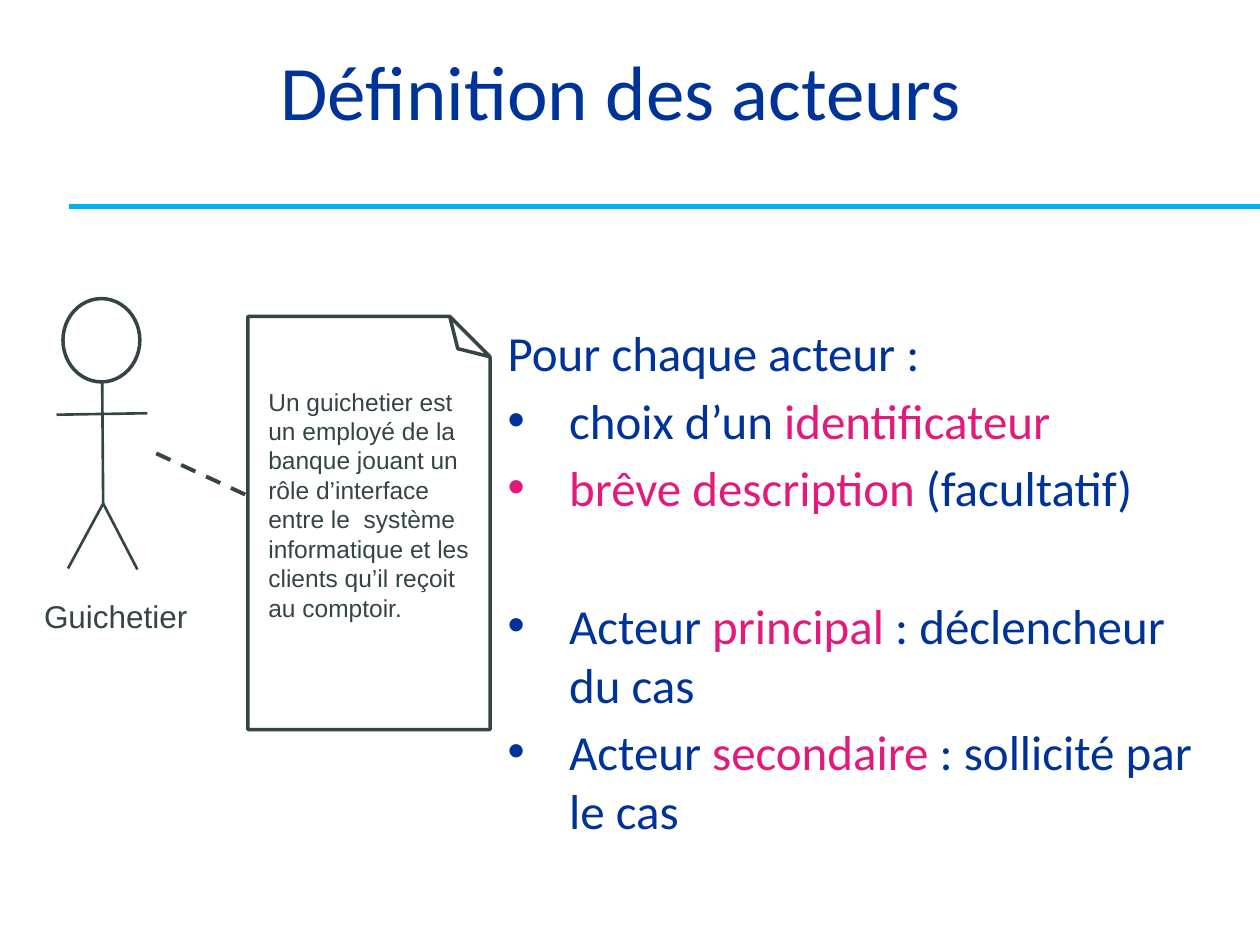
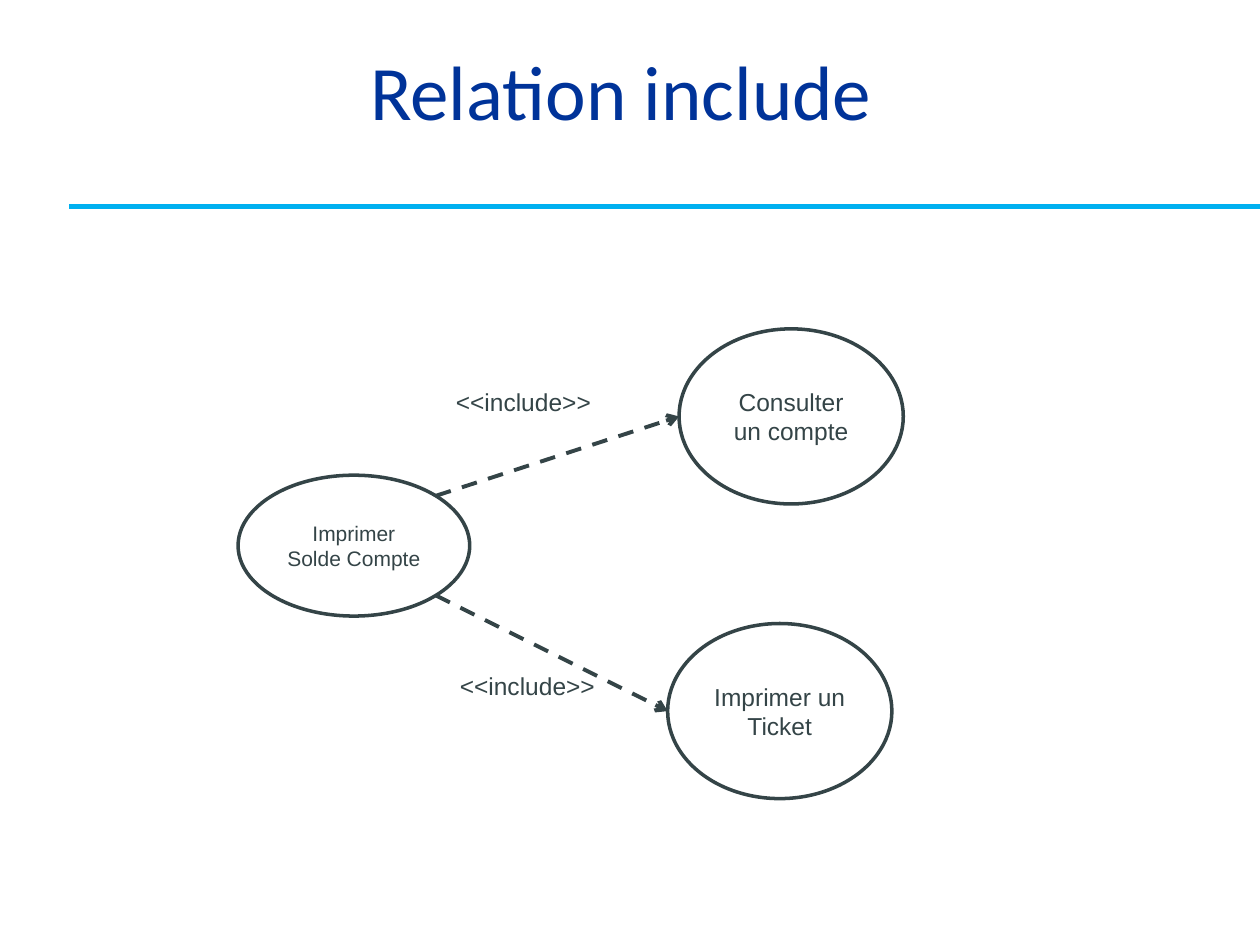
from dataclasses import dataclass
from math import sqrt

import pptx
import pptx.dml.color
import pptx.enum.dml
import pptx.enum.shapes
import pptx.enum.text
import pptx.oxml
import pptx.oxml.ns
import pptx.util

Cm = pptx.util.Cm
Pt = pptx.util.Pt
Color = pptx.dml.color.RGBColor
qn = pptx.oxml.ns.qn
ShapeKind = pptx.enum.shapes.MSO_SHAPE
Align = pptx.enum.text.PP_ALIGN
Anchor = pptx.enum.text.MSO_ANCHOR


# Theme: colours, fonts, type sizes and line widths
@dataclass(frozen=True)
class Theme:
    navy: Color = Color.from_string("003399")
    pink: Color = Color.from_string("E31A79")
    slate: Color = Color.from_string("344447")
    sky: Color = Color.from_string("00B0F0")
    text_font: str = "Calibri"
    diagram_font: str = "Arial"
    title_size: float = 44
    body_size: float = 28
    actor_size: float = 18
    diagram_size: float = 14
    small_size: float = 12
    rule_width: float = 2.75
    dash_width: float = 2.25
    outline_width: float = 2
    limb_width: float = 1.5


THEME = Theme()


# Lengths in centimetres
@dataclass(frozen=True)
class Area:
    left: float
    top: float
    width: float
    height: float

    def lengths(self) -> tuple:
        return Cm(self.left), Cm(self.top), Cm(self.width), Cm(self.height)

    def left_middle(self) -> tuple[float, float]:
        return self.left, self.top + self.height / 2

    def right_diagonal(self, side: int) -> tuple[float, float]:
        """Point of the inscribed ellipse at 45 degrees, above (-1) or below (1)."""
        return (self.left + self.width / 2 * (1 + 1 / sqrt(2)),
                self.top + self.height / 2 * (1 + side / sqrt(2)))


@dataclass(frozen=True)
class Segment:
    start: tuple[float, float]
    end: tuple[float, float]
    width: float
    color: Color = THEME.slate
    dashed: bool = False
    arrow: bool = False


@dataclass(frozen=True)
class Label:
    text: str
    area: Area
    size: float = THEME.diagram_size
    align: Align = Align.LEFT


@dataclass(frozen=True)
class Item:
    spans: tuple[tuple[str, Color], ...]
    space_before: float = 5
    bullet: bool = True


TITLE_AREA = Area(1.09, 0.74, 22.86, 3.18)
HEADER_RULE = Segment((1.4, 4.17), (25.4, 4.17), THEME.rule_width, THEME.sky)

# Actor definition slide
BODY_AREA = Area(9.98, 4.45, 14.91, 13.08)
BODY_TOP_INSET = 2.05
BULLET_INDENT = 1.24
ACTOR_ITEMS = (
    Item((("Pour chaque acteur :", THEME.navy),), space_before=0, bullet=False),
    Item((("choix d’un ", THEME.navy), ("identificateur", THEME.pink))),
    Item((("brêve description ", THEME.pink), ("(facultatif)", THEME.navy))),
    Item((("Acteur ", THEME.navy), ("principal", THEME.pink),
          (" : déclencheur du cas", THEME.navy)), space_before=45),
    Item((("Acteur ", THEME.navy), ("secondaire", THEME.pink),
          (" : sollicité par le cas", THEME.navy))),
)
HEAD_AREA = Area(1.27, 6.02, 1.55, 1.68)
HIPS = (2.08, 10.15)
LIMBS = (
    Segment((2.06, 7.7), HIPS, THEME.limb_width),
    Segment((1.14, 8.36), (2.97, 8.33), THEME.limb_width),
    Segment(HIPS, (1.37, 11.46), THEME.limb_width),
    Segment(HIPS, (2.77, 11.48), THEME.limb_width),
)
NOTE_AREA = Area(5, 6.38, 4.88, 8.33)
NOTE_LINK = Segment((3.15, 9.14), (5.03, 10.01), THEME.dash_width, dashed=True)
ACTOR_LABELS = (
    Label("Guichetier", Area(0, 11.91, 4.67, 1.02), THEME.actor_size, Align.CENTER),
    Label("Un guichetier est un employé de la banque jouant un rôle d’interface "
          "entre le  système informatique et les clients qu’il reçoit au comptoir.",
          Area(5.16, 7.67, 4.57, 5.05)),
)

# Include relation slide
BASE_CASE = Label("Imprimer Solde Compte", Area(4.8, 9.58, 4.67, 2.84),
                  THEME.small_size, Align.CENTER)
UPPER_CASE = Label("Consulter un compte", Area(13.69, 6.63, 4.52, 3.53),
                   align=Align.CENTER)
LOWER_CASE = Label("Imprimer un Ticket", Area(13.46, 12.57, 4.52, 3.53),
                   align=Align.CENTER)
INCLUDE_LABELS = (
    Label("<<include>>", Area(8.94, 7.67, 5.05, 0.86)),
    Label("<<include>>", Area(9.02, 13.41, 5.05, 0.86)),
)


def place(shape, area: Area) -> None:
    shape.left, shape.top, shape.width, shape.height = area.lengths()


def style_font(font, name: str, size: float, color: Color | None = None) -> None:
    font.name = name
    font.size = Pt(size)
    if color is not None:
        font.color.rgb = color


def write_label(box, label: Label) -> None:
    box.text_frame.word_wrap = True
    para = box.text_frame.paragraphs[0]
    para.text = label.text
    para.alignment = label.align
    style_font(para.font, THEME.diagram_font, label.size, THEME.slate)


def add_label(page, label: Label) -> None:
    write_label(page.shapes.add_textbox(*label.area.lengths()), label)


def add_outline(shapes, kind: ShapeKind, area: Area):
    shape = shapes.add_shape(kind, *area.lengths())
    shape.shadow.inherit = False
    shape.fill.background()
    shape.line.color.rgb = THEME.slate
    shape.line.width = Pt(THEME.outline_width)
    return shape


def add_segment(shapes, segment: Segment) -> None:
    connector = shapes.add_connector(
        pptx.enum.shapes.MSO_CONNECTOR.STRAIGHT,
        *(Cm(value) for value in segment.start + segment.end))
    connector.line.color.rgb = segment.color
    connector.line.width = Pt(segment.width)
    if segment.dashed:
        connector.line.dash_style = pptx.enum.dml.MSO_LINE.DASH
    properties = connector.element.spPr
    if segment.arrow:
        tail = pptx.oxml.parse_xml(
            f'<a:tailEnd {pptx.oxml.ns.nsdecls("a")} type="arrow"/>')
        properties.find(qn("a:ln")).append(tail)
    properties.append(
        pptx.oxml.parse_xml(f'<a:effectLst {pptx.oxml.ns.nsdecls("a")}/>'))


def add_page(deck, layout_name: str, title: str):
    """Slide with the shared title and header rule."""
    page = deck.slides.add_slide(deck.slide_layouts.get_by_name(layout_name))
    box = page.shapes.title
    place(box, TITLE_AREA)
    frame = box.text_frame
    frame.auto_size = pptx.enum.text.MSO_AUTO_SIZE.NONE
    frame.vertical_anchor = Anchor.MIDDLE
    para = frame.paragraphs[0]
    para.text = title
    para.alignment = Align.CENTER
    para.line_spacing = Pt(23)
    style_font(para.font, THEME.text_font, THEME.title_size, THEME.navy)
    add_segment(page.shapes, HEADER_RULE)
    return page


def write_item(para, item: Item) -> None:
    para.space_before = Pt(item.space_before)
    style_font(para.font, THEME.text_font, THEME.body_size)
    indent = Cm(BULLET_INDENT) if item.bullet else 0
    properties = para._p.get_or_add_pPr()
    properties.set("marL", str(indent))
    properties.set("indent", str(-indent))
    bullet = 'buChar char="•"' if item.bullet else "buNone"
    marker = pptx.oxml.parse_xml(f'<a:{bullet} {pptx.oxml.ns.nsdecls("a")}/>')
    properties.find(qn("a:defRPr")).addprevious(marker)
    for text, color in item.spans:
        span = para.add_run()
        span.text = text
        span.font.color.rgb = color


def build_actor_page(deck) -> None:
    page = add_page(deck, "Title and Content", "Définition des acteurs")

    # Bulleted list
    body = page.placeholders[1]
    place(body, BODY_AREA)
    frame = body.text_frame
    frame.auto_size = pptx.enum.text.MSO_AUTO_SIZE.NONE
    frame.margin_top = Cm(BODY_TOP_INSET)
    for index, item in enumerate(ACTOR_ITEMS):
        para = frame.add_paragraph() if index else frame.paragraphs[0]
        write_item(para, item)

    # Stick figure
    figure = page.shapes.add_group_shape()
    add_outline(figure.shapes, ShapeKind.OVAL, HEAD_AREA)
    for limb in LIMBS:
        add_segment(figure.shapes, limb)

    # Note with its fold at the top
    note = add_outline(page.shapes, ShapeKind.FOLDED_CORNER, NOTE_AREA)
    note.element.spPr.find(qn("a:xfrm")).set("flipV", "1")
    add_segment(page.shapes, NOTE_LINK)
    for label in ACTOR_LABELS:
        add_label(page, label)


def build_include_page(deck) -> None:
    page = add_page(deck, "Title Only", "Relation include")

    # Use cases
    for case in (BASE_CASE, LOWER_CASE, UPPER_CASE):
        oval = add_outline(page.shapes, ShapeKind.OVAL, case.area)
        oval.text_frame.vertical_anchor = Anchor.MIDDLE
        write_label(oval, case)

    # Include arrows and their labels
    for side, case in ((-1, UPPER_CASE), (1, LOWER_CASE)):
        add_segment(page.shapes, Segment(
            BASE_CASE.area.right_diagonal(side), case.area.left_middle(),
            THEME.dash_width, dashed=True, arrow=True))
    for label in INCLUDE_LABELS:
        add_label(page, label)


def main() -> None:
    deck = pptx.Presentation()
    deck.slide_width, deck.slide_height = Cm(25.4), Cm(19.05)
    build_actor_page(deck)
    build_include_page(deck)
    deck.save("out.pptx")


if __name__ == "__main__":
    main()
